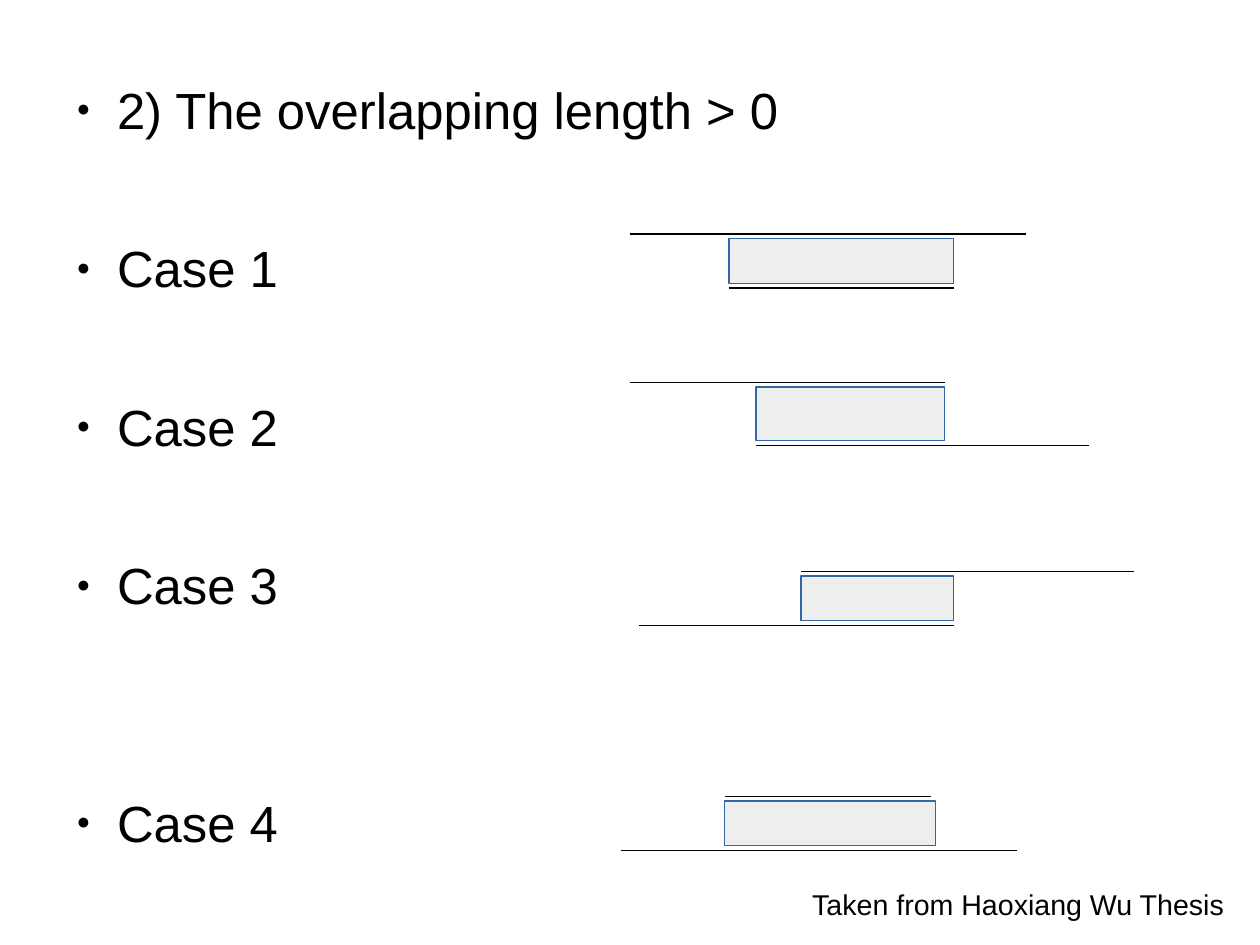
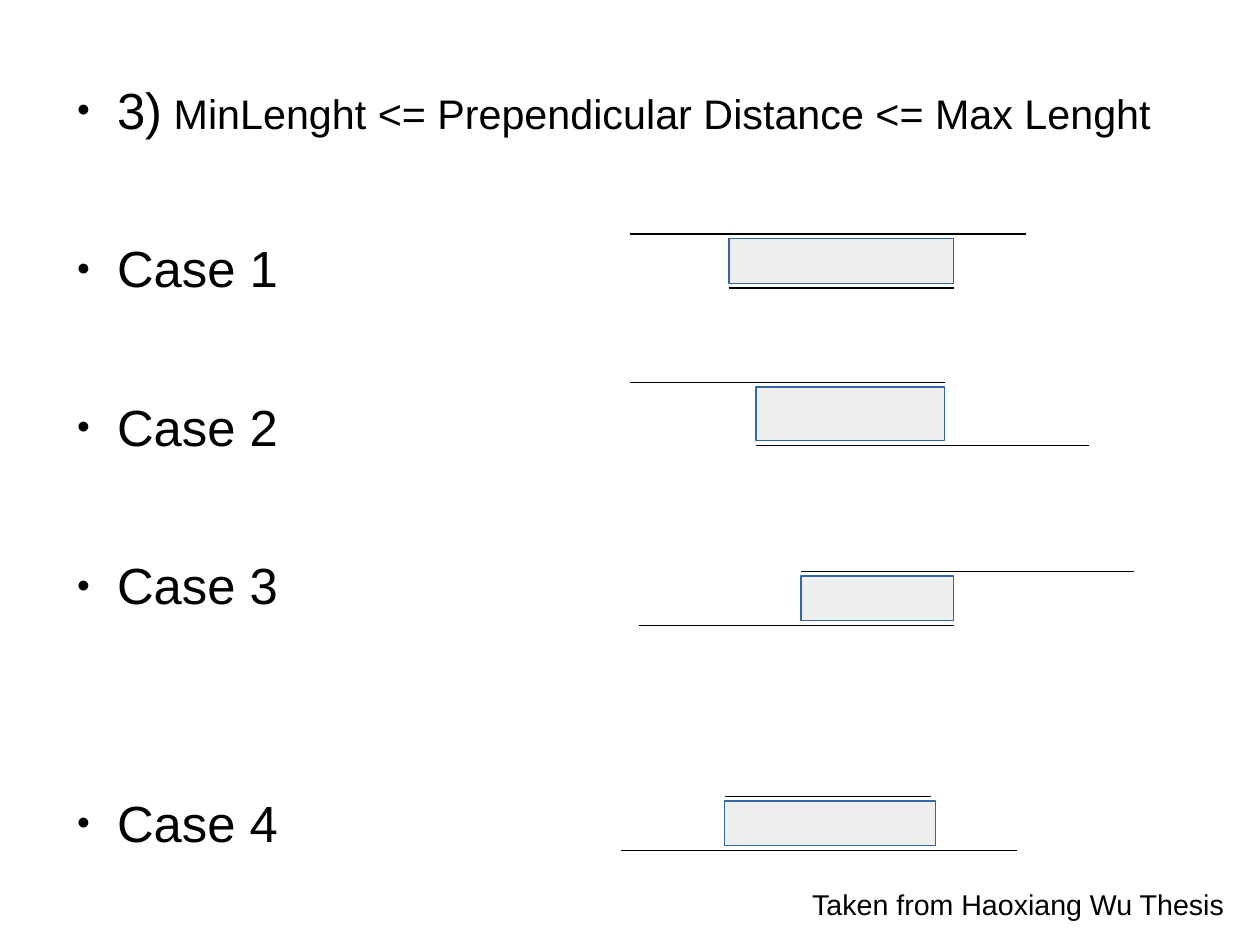
from pptx import Presentation
from pptx.dml.color import RGBColor
from pptx.enum.shapes import MSO_CONNECTOR as Connector, MSO_SHAPE as Shape
from pptx.enum.text import MSO_ANCHOR as Anchor, MSO_AUTO_SIZE as AutoSize, PP_ALIGN as Align
from pptx.oxml.ns import qn
from pptx.util import Pt
from lxml.etree import SubElement

COLOURS = {"ink": "000000", "overlap": "EEEEEE", "edge": "3465A4"}
FONT = "Arial"
TEXT_LEFT, HEADING_TOP = 39.7, 52.8
LINE_HEIGHT, ROW_PITCH = 35, 99.8
SEGMENT_GAP = 2.83
LINE_WIDTH = 0.75

# Each heading is a list of (text, size) spans.
HEADINGS = [
    [("2) The overlapping length > 0", 32)],
    [("3)", 32), (" MinLenght <= Prependicular Distance <= Max Lenght", 26)],
]
# Case name and its distance in rows from the item above.
CASES = [("Case 1", 1), ("Case 2", 1), ("Case 3", 1), ("Case 4", 1.5)]
# Overlap top and height, then left and right ends of overlap, upper and lower segment.
DIAGRAMS = [
    (150.24, 28.35, (459.21, 600.94), (396.85, 646.3), (459.21, 600.94)),
    (243.78, 34.02, (476.22, 595.28), (396.85, 595.28), (476.22, 685.98)),
    (362.83, 28.35, (504.57, 600.94), (504.57, 714.33), (402.52, 600.94)),
    (504.57, 28.35, (456.38, 589.61), (456.38, 586.77), (391.18, 640.63)),
]


def colour(name):
    return RGBColor.from_string(COLOURS[name])


def format_text(frame, sizes, bulleted=True):
    """Style every paragraph, giving its runs the sizes in turn."""
    frame.word_wrap = True
    frame.auto_size = AutoSize.NONE
    frame.vertical_anchor = Anchor.TOP
    if bulleted:
        frame.margin_left = frame.margin_right = 0
        frame.margin_top = frame.margin_bottom = 0
    for para in frame.paragraphs:
        para.alignment = Align.LEFT
        for span, size in zip(para.runs, sizes):
            span.font.name = FONT
            span.font.size = Pt(size)
            span.font.color.rgb = colour("ink")
        if bulleted:
            para.line_spacing = Pt(LINE_HEIGHT)
            settings = para._p.get_or_add_pPr()
            settings.set("marL", str(Pt(34)))
            settings.set("indent", str(Pt(-25.5)))
            bullet_colour = SubElement(settings, qn("a:buClr"))
            SubElement(bullet_colour, qn("a:srgbClr"), val=COLOURS["ink"])
            SubElement(settings, qn("a:buSzPct"), val="45000")
            SubElement(settings, qn("a:buFont"), typeface=FONT)
            SubElement(settings, qn("a:buChar"), char="●")


deck = Presentation()
deck.slide_width, deck.slide_height = Pt(793.7), Pt(595.28)
title_only = deck.slide_layouts[5]

for heading in HEADINGS:
    page = deck.slides.add_slide(title_only)

    title = page.shapes.title
    title.left, title.top = Pt(TEXT_LEFT), Pt(HEADING_TOP)
    title.width, title.height = Pt(714.33), Pt(40)
    para = title.text_frame.paragraphs[0]
    for text, size in heading:
        para.add_run().text = text
    format_text(title.text_frame, [size for text, size in heading])

    box = page.shapes.add_textbox(
        Pt(TEXT_LEFT), Pt(HEADING_TOP + ROW_PITCH), Pt(300), Pt(400))
    box.text_frame.text = "\n".join(name for name, rows in CASES)
    format_text(box.text_frame, [32])
    for para, (name, rows) in zip(box.text_frame.paragraphs[1:], CASES[1:]):
        para.space_before = Pt(rows * ROW_PITCH - LINE_HEIGHT)

    for top, height, (left, right), upper, lower in DIAGRAMS:
        upper_y = top - SEGMENT_GAP
        lower_y = top + height + SEGMENT_GAP
        for (start, end), y in ((upper, upper_y), (lower, lower_y)):
            segment = page.shapes.add_connector(
                Connector.STRAIGHT, Pt(start), Pt(y), Pt(end), Pt(y))
            segment.line.color.rgb = colour("ink")
            segment.line.width = Pt(LINE_WIDTH)
            SubElement(segment._element.spPr, qn("a:effectLst"))
        overlap = page.shapes.add_shape(
            Shape.RECTANGLE, Pt(left), Pt(top), Pt(right - left), Pt(height))
        overlap.shadow.inherit = False
        overlap.fill.solid()
        overlap.fill.fore_color.rgb = colour("overlap")
        overlap.line.color.rgb = colour("edge")
        overlap.line.width = Pt(LINE_WIDTH)

    credit = page.shapes.add_textbox(
        Pt(504.57), Pt(555.59), Pt(283.46), Pt(34.02))
    credit.text_frame.text = "Taken from Haoxiang Wu Thesis"
    credit.text_frame.margin_top = Pt(5)
    format_text(credit.text_frame, [18], bulleted=False)
    credit.text_frame.paragraphs[0].line_spacing = 0.93

deck.save("out.pptx")
